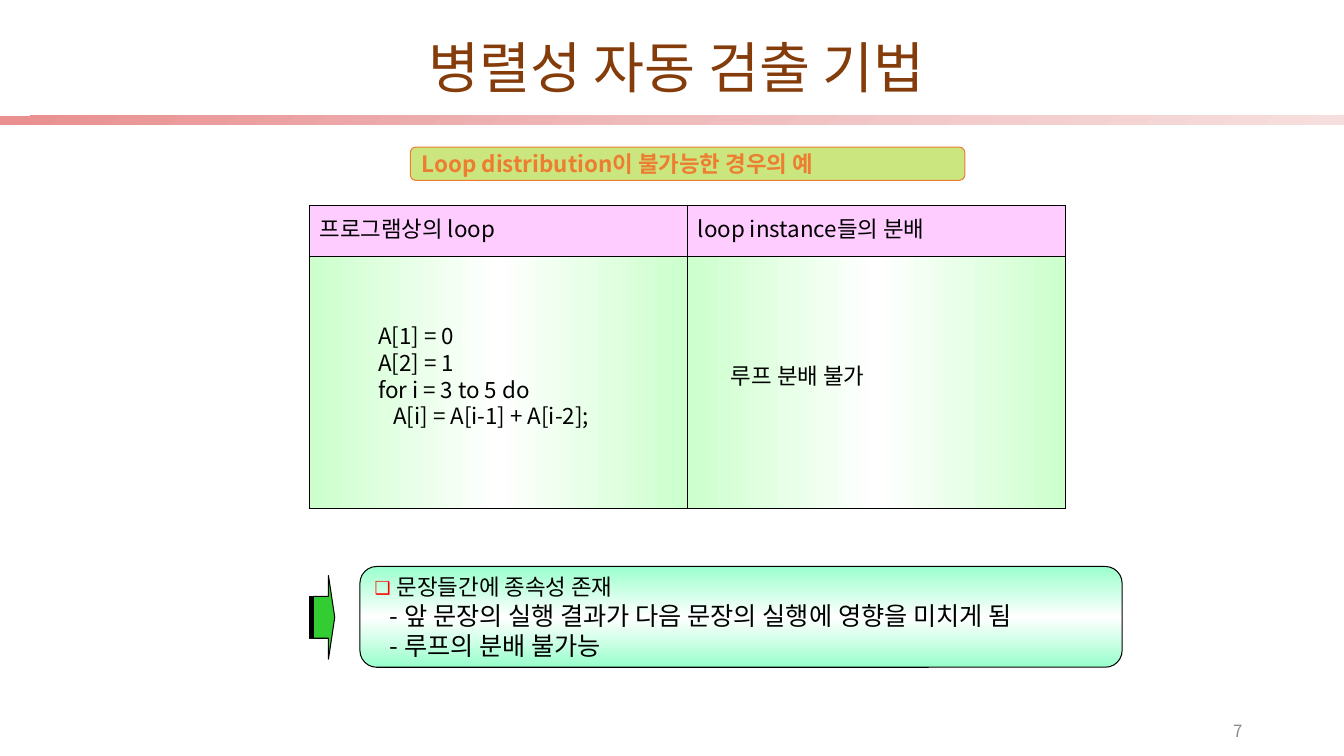
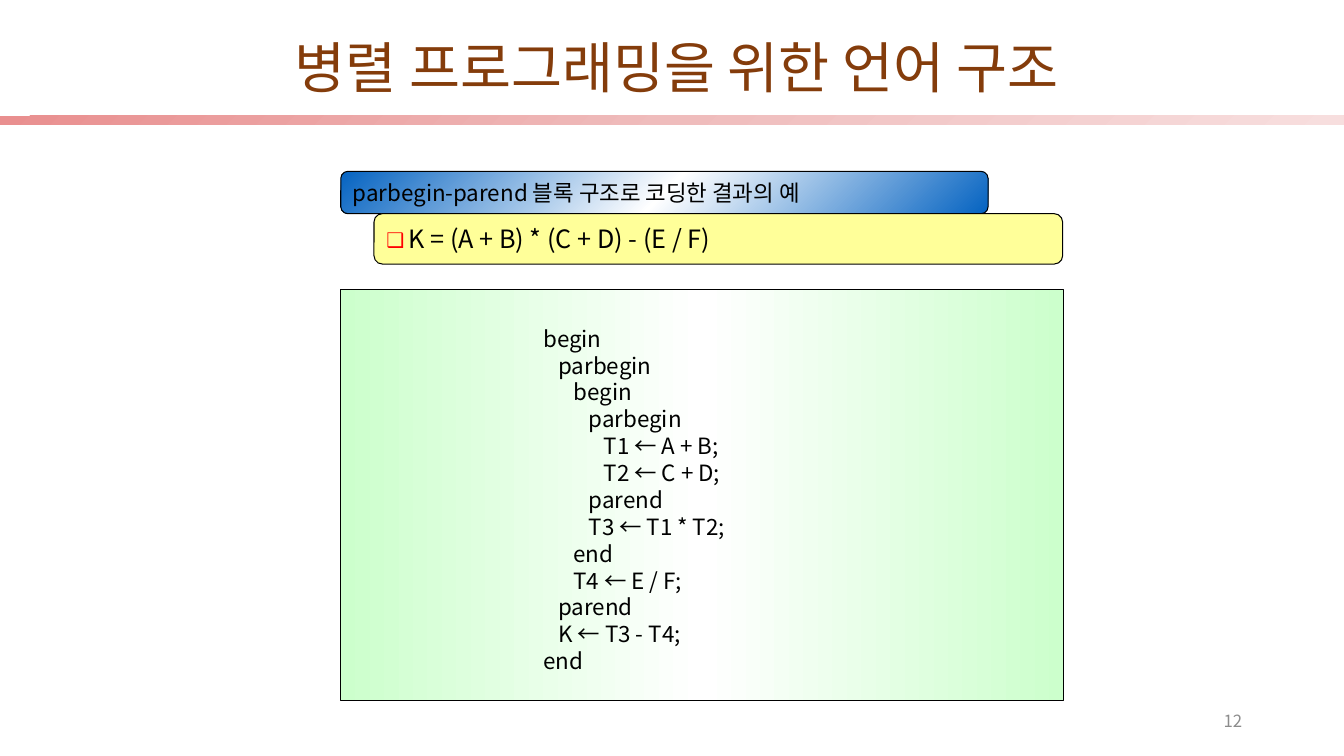
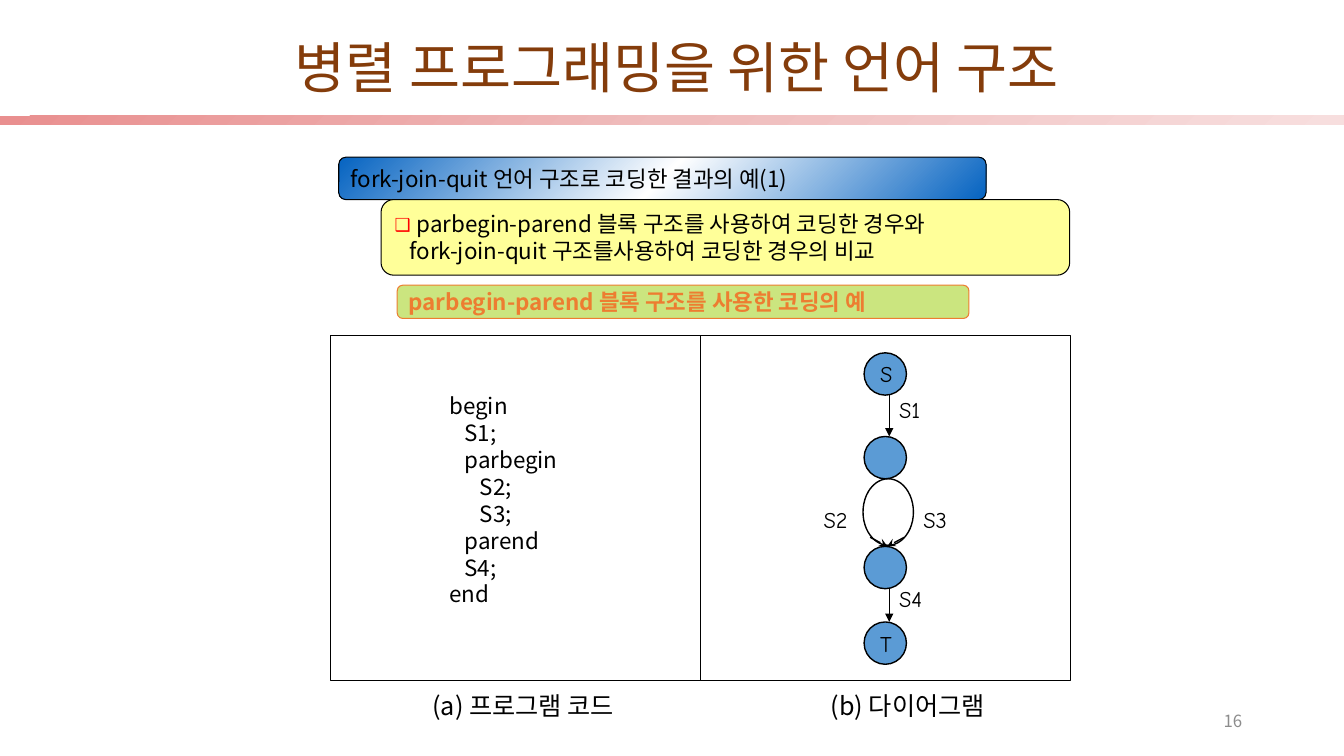
from dataclasses import dataclass

from lxml.etree import SubElement
from pptx import Presentation
from pptx.dml.color import RGBColor
from pptx.enum.shapes import MSO_CONNECTOR, MSO_SHAPE
from pptx.enum.text import MSO_ANCHOR, PP_ALIGN
from pptx.oxml.ns import qn
from pptx.util import Inches, Pt


@dataclass(frozen=True)
class Theme:
    font: str = "Noto Sans CJK KR"
    label: str = "Comic Neue"
    head: float = 39.6
    big: float = 18
    body: float = 16
    small: float = 12
    leading: float = 1.2
    step: float = 0.15
    hang: float = 0.22
    ink: str = "000000"
    white: str = "FFFFFF"
    brown: str = "843C0B"
    gray: str = "8C8C8C"
    orange: str = "ED7D31"
    red: str = "FF0000"
    lime: str = "99CC00"
    pink: str = "FFCCFF"
    yellow: str = "FFFF99"
    arrow: str = "33CC33"
    node: str = "5B9BD5"
    # Gradients: three even stops, then the angle in degrees
    band: tuple = ("E98F8F", "EFBCBC", "F7DEDE", 45)
    green: tuple = ("CCFFCC", "FFFFFF", "CCFFCC", 0)
    mint: tuple = ("99FFCC", "FFFFFF", "99FFCC", 90)
    blue: tuple = ("0563C1", "FFFFFF", "0563C1", 45)


T = Theme()
ROUND = MSO_SHAPE.FLOWCHART_ALTERNATE_PROCESS
BULLET = "❑"

# Paragraphs are (depth, text) or (BULLET, text)
AUTO = "병렬성 자동 검출 기법"
LANG = "병렬 프로그래밍을 위한 언어 구조"

LOOP_TAG = "Loop distribution이 불가능한 경우의 예"
LOOP_HEADS = ["프로그램상의 loop", "loop instance들의 분배"]
LOOP_BODY = [
    [(0, "A[1] = 0"), (0, "A[2] = 1"), (0, "for i = 3 to 5 do"),
     (1, "A[i] = A[i-1] + A[i-2];")],
    [(0, "루프 분배 불가")],
]
LOOP_PADS = [0.68, 0.43]
LOOP_NOTE = [
    (BULLET, "문장들간에 종속성 존재", T.body),
    (1, "- 앞 문장의 실행 결과가 다음 문장의 실행에 영향을 미치게 됨"),
    (1, "- 루프의 분배 불가능"),
]

BLOCK_HEAD = "parbegin-parend 블록 구조로 코딩한 결과의 예"
BLOCK_GOAL = [(BULLET, "K = (A + B) * (C + D) - (E / F)")]
BLOCK_CODE = [
    (0, "begin"), (1, "parbegin"), (2, "begin"), (3, "parbegin"),
    (4, "T1 ← A + B;"), (4, "T2 ← C + D;"), (3, "parend"),
    (3, "T3 ← T1 * T2;"), (2, "end"), (2, "T4 ← E / F;"),
    (1, "parend"), (1, "K ← T3 - T4;"), (0, "end"),
]

FORK_HEAD = "fork-join-quit 언어 구조로 코딩한 결과의 예(1)"
FORK_GOAL = [
    (BULLET, "parbegin-parend 블록 구조를 사용하여 코딩한 경우와"),
    (1, "fork-join-quit 구조를사용하여 코딩한 경우의 비교"),
]
FORK_TAG = "parbegin-parend 블록 구조를 사용한 코딩의 예"
FORK_CODE = [
    (0, "begin"), (1, "S1;"), (1, "parbegin"), (2, "S2;"), (2, "S3;"),
    (1, "parend"), (1, "S4;"), (0, "end"),
]
CAPTIONS = [("(a) 프로그램 코드", 4.19, 2.18), ("(b) 다이어그램", 8.14, 1.86)]
NODES = [("S", 3.5), ("", 4.33), ("", 5.42), ("T", 6.17)]
LABELS = [("S1", 8.82, 3.88), ("S2", 8.07, 4.97),
          ("S3", 9.06, 4.97), ("S4", 8.82, 5.75)]
ARROWS = [
    ((8.82, 3.92), (8.82, 4.33), "triangle"),
    ((8.82, 5.83), (8.82, 6.17), "triangle"),
    ((8.63, 5.33), (8.8, 5.42), "stealth"),
    ((8.97, 5.33), (8.8, 5.42), "stealth"),
]


def rgb(color):
    return RGBColor.from_string(color)


def inches(box):
    return [Inches(n) for n in box]


def paint(item, props, look, alpha=None):
    """Fill a shape or cell with a colour or a gradient; props is its XML."""
    if isinstance(look, str):
        item.fill.solid()
        item.fill.fore_color.rgb = rgb(look)
        if alpha:
            clr = props.find(qn("a:solidFill")).find(qn("a:srgbClr"))
            SubElement(clr, qn("a:alpha"), val=str(alpha * 1000))
        return
    *stops, angle = look
    item.fill.gradient()
    grad = props.find(qn("a:gradFill"))
    ramp = grad.find(qn("a:gsLst"))
    for old in list(ramp):
        ramp.remove(old)
    for i, color in enumerate(stops):
        stop = SubElement(ramp, qn("a:gs"), pos=str(i * 50000))
        SubElement(stop, qn("a:srgbClr"), val=color)
    grad.find(qn("a:lin")).set("ang", str(angle * 60000))


def mark(para):
    """Give a paragraph a red hanging bullet."""
    props = para._p.get_or_add_pPr()
    props.set("marL", str(Inches(T.hang)))
    props.set("indent", str(-Inches(T.hang)))
    tint = SubElement(props, qn("a:buClr"))
    SubElement(tint, qn("a:srgbClr"), val=T.red)
    SubElement(props, qn("a:buSzPct"), val="80000")
    SubElement(props, qn("a:buFont"), typeface=T.font)
    SubElement(props, qn("a:buChar"), char=BULLET)


def write(frame, text, size=T.body, color=T.ink, font=T.font, bold=False,
          align=PP_ALIGN.LEFT, spacing=1):
    lines = [(0, text)] if isinstance(text, str) else text
    for i, (kind, words, *own) in enumerate(lines):
        para = frame.add_paragraph() if i else frame.paragraphs[0]
        pts = own[0] if own else size
        para.alignment = align
        para.line_spacing = Pt(round(pts * T.leading * spacing, 1))
        if kind == BULLET:
            mark(para)
        elif kind:
            para._p.get_or_add_pPr().set("marL", str(Inches(kind * T.step)))
        run = para.add_run()
        run.text = words
        run.font.size = Pt(pts)
        run.font.bold = bold
        run.font.name = font
        run.font.color.rgb = rgb(color)
        SubElement(run._r.get_or_add_rPr(), qn("a:ea"), typeface=font)


def note(slide, box, text, anchor=MSO_ANCHOR.MIDDLE, **form):
    frame = slide.shapes.add_textbox(*inches(box)).text_frame
    frame.word_wrap = True
    frame.vertical_anchor = anchor
    write(frame, text, **form)


def draw(slide, kind, box, look, text="", line=T.ink, width=0.75,
         alpha=None, **form):
    shape = slide.shapes.add_shape(kind, *inches(box))
    shape.shadow.inherit = False
    paint(shape, shape._element.spPr, look, alpha)
    if line:
        shape.line.color.rgb = rgb(line)
        shape.line.width = Pt(width)
    else:
        shape.line.fill.background()
    if text:
        shape.text_frame.word_wrap = True
        shape.text_frame.vertical_anchor = MSO_ANCHOR.MIDDLE
        write(shape.text_frame, text, **form)
    return shape


def link(slide, start, end, tip):
    line = slide.shapes.add_connector(
        MSO_CONNECTOR.STRAIGHT, *inches(start + end))
    line.line.color.rgb = rgb(T.ink)
    line.line.width = Pt(1)
    SubElement(line.line._get_or_add_ln(), qn("a:tailEnd"), type=tip)
    SubElement(line._element.spPr, qn("a:effectLst"))


def start(deck, title, page, foot=6.95):
    """Add a slide with the shared band, title and page number."""
    slide = deck.slides.add_slide(deck.slide_layouts[6])
    draw(slide, MSO_SHAPE.RECTANGLE, (0, 1.15, 13.33, 0.09), T.band, line=None)
    note(slide, (0.6, 0.48, 12.22, 0.61), title, anchor=MSO_ANCHOR.TOP,
         size=T.head, color=T.brown, align=PP_ALIGN.CENTER, spacing=0.7)
    note(slide, (9.42, foot, 3, 0.4), str(page), size=T.small,
         color=T.gray, align=PP_ALIGN.RIGHT)
    return slide


def tag(slide, left, top, width, text):
    draw(slide, ROUND, (left, top, width, 0.33), T.lime, text, line=T.orange,
         alpha=50, color=T.orange, bold=True)


def topic(slide, left, top, head, inset, height, goal, size):
    """Draw a blue heading and the yellow box hung below it."""
    draw(slide, ROUND, (left, top, 6.42, 0.42), T.blue, head)
    draw(slide, ROUND, (left + inset, top + 0.42, 6.83, height), T.yellow,
         goal, size=size)


def fill_cell(cell, text, look, pad=0.1, foot=0.05):
    props = cell._tc.get_or_add_tcPr()
    for side in ("L", "R", "T", "B"):
        edge = SubElement(props, qn("a:ln" + side), w=str(Pt(0.75)))
        SubElement(SubElement(edge, qn("a:solidFill")),
                   qn("a:srgbClr"), val=T.ink)
    paint(cell, props, look)
    cell.margin_left = Inches(pad)
    cell.margin_bottom = Inches(foot)
    cell.vertical_anchor = MSO_ANCHOR.MIDDLE
    write(cell.text_frame, text)


def loop_slide(deck):
    slide = start(deck, AUTO, 7, foot=7.05)
    tag(slide, 4.07, 1.46, 5.5, LOOP_TAG)
    table = slide.shapes.add_table(2, 2, *inches((3.07, 2.04, 7.5, 3))).table
    table.first_row = table.horz_banding = False
    table.rows[0].height, table.rows[1].height = inches((0.5, 2.5))
    for col, head in enumerate(LOOP_HEADS):
        fill_cell(table.cell(0, col), head, T.pink)
        fill_cell(table.cell(1, col), LOOP_BODY[col], T.green,
                  pad=LOOP_PADS[col], foot=0.14)
    arrow = draw(slide, MSO_SHAPE.STRIPED_RIGHT_ARROW,
                 (3.07, 5.71, 0.25, 0.83), T.arrow)
    arrow.adjustments[0] = 0.5
    arrow.adjustments[1] = 0.25
    draw(slide, ROUND, (3.57, 5.62, 7.56, 1), T.mint, LOOP_NOTE, size=T.big)


def block_slide(deck):
    slide = start(deck, LANG, 12)
    topic(slide, 3.38, 1.7, BLOCK_HEAD, 0.33, 0.5, BLOCK_GOAL, T.big)
    draw(slide, MSO_SHAPE.RECTANGLE, (3.38, 2.87, 7.17, 4.08), T.green)
    note(slide, (5.29, 3.12, 3.67, 3.67), BLOCK_CODE)


def fork_slide(deck):
    slide = start(deck, LANG, 16)
    topic(slide, 3.36, 1.56, FORK_HEAD, 0.42, 0.75, FORK_GOAL, T.body)
    tag(slide, 3.94, 2.83, 5.67, FORK_TAG)
    for col, (text, left, width) in enumerate(CAPTIONS):
        draw(slide, MSO_SHAPE.RECTANGLE,
             (3.28 + col * 3.67, 3.33, 3.67, 3.42), T.white)
        note(slide, (left, 6.8, width, 0.4), text, size=T.big)
    note(slide, (4.36, 3.5, 2.17, 2.92), FORK_CODE)
    draw(slide, MSO_SHAPE.OVAL, (8.56, 4.75, 0.5, 0.66), T.white, width=1)
    for name, top in NODES:
        draw(slide, MSO_SHAPE.OVAL, (8.57, top, 0.42, 0.42), T.node, name,
             width=1, font=T.label, align=PP_ALIGN.CENTER)
    for name, left, top in LABELS:
        note(slide, (left, top, 0.5, 0.37), name, font=T.label)
    for tail, head, tip in ARROWS:
        link(slide, tail, head, tip)


def main():
    deck = Presentation()
    deck.slide_width, deck.slide_height = inches((13.33, 7.5))
    for build in (loop_slide, block_slide, fork_slide):
        build(deck)
    deck.save("out.pptx")


if __name__ == "__main__":
    main()
